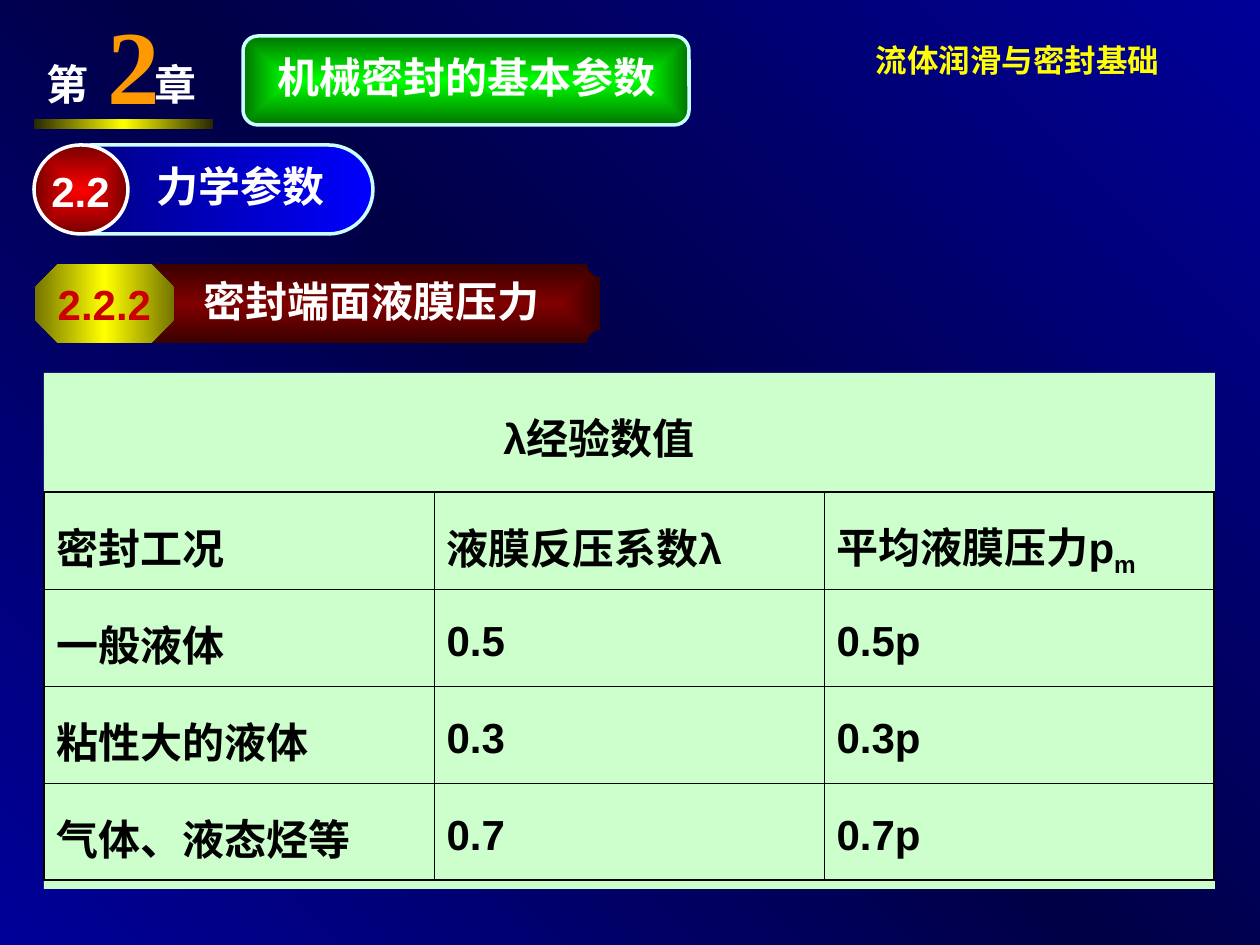
from lxml.etree import SubElement
from pptx import Presentation
from pptx.dml.color import RGBColor
from pptx.enum.shapes import MSO_SHAPE
from pptx.enum.text import MSO_ANCHOR, MSO_AUTO_SIZE, PP_ALIGN
from pptx.oxml.ns import qn
from pptx.util import Emu, Pt

SCALE = 914400 / 126  # EMU in one px
HAN_FONT = "Noto Sans CJK SC"

WHITE = RGBColor(0xFF, 0xFF, 0xFF)
BLACK = RGBColor(0x00, 0x00, 0x00)
NAVY = RGBColor(0x00, 0x00, 0x99)
MIDNIGHT = RGBColor(0x00, 0x00, 0x46)
BLUE = RGBColor(0x00, 0x00, 0xFF)
DARK_BLUE = RGBColor(0x00, 0x00, 0x75)
ICE = RGBColor(0xCC, 0xFF, 0xFF)
YELLOW = RGBColor(0xFF, 0xFF, 0x00)
OLIVE = RGBColor(0x75, 0x75, 0x00)
DARK_OLIVE = RGBColor(0x28, 0x28, 0x00)
ORANGE = RGBColor(0xFF, 0x99, 0x00)
RED = RGBColor(0xFF, 0x00, 0x00)
DARK_RED = RGBColor(0x75, 0x00, 0x00)
NUMBER_RED = RGBColor(0xCC, 0x00, 0x00)
MAROON = RGBColor(0x80, 0x00, 0x00)
DARK_MAROON = RGBColor(0x3B, 0x00, 0x00)
GREEN = RGBColor(0x00, 0xFF, 0x00)
DARK_GREEN = RGBColor(0x00, 0x75, 0x00)
MINT = RGBColor(0xCC, 0xFF, 0xCC)


def px(value):
    return Emu(round(value * SCALE))


def write(frame, text, size=24, font="Arial", color=WHITE, align=PP_ALIGN.LEFT,
          spacing=None, subscript=""):
    """Write one bold paragraph, with an optional subscript after it."""
    paragraph = frame.paragraphs[0]
    paragraph.alignment = align
    paragraph.line_spacing = spacing
    for part in filter(None, (text, subscript)):
        run = paragraph.add_run()
        run.text = part
        run.font.size = Pt(size)
        run.font.bold = True
        run.font.name = font
        run.font.color.rgb = color
        properties = run.font._element
        SubElement(properties, qn("a:ea"), typeface=HAN_FONT)
        if part == subscript:
            properties.set("baseline", "-25000")


def set_gradient(owner, fill, colors, angle=None):
    """Spread colours evenly, clockwise by angle or out from the centre."""
    fill.gradient()
    gradient = owner.element.find(".//" + qn("a:gradFill"))
    for child in list(gradient):
        gradient.remove(child)
    stops = SubElement(gradient, qn("a:gsLst"))
    for index, color in enumerate(colors):
        position = 100000 * index // (len(colors) - 1)
        stop = SubElement(stops, qn("a:gs"), pos=str(position))
        SubElement(stop, qn("a:srgbClr"), val=str(color))
    if angle is None:
        path = SubElement(gradient, qn("a:path"), path="rect")
        SubElement(path, qn("a:fillToRect"), l="50000", t="50000", r="50000", b="50000")
    else:
        SubElement(gradient, qn("a:lin"), ang=str(angle * 60000), scaled="1")


def set_border(cell, side, width):
    line = SubElement(cell._tc.get_or_add_tcPr(), qn("a:" + side), w=str(Pt(width)))
    fill = SubElement(line, qn("a:solidFill"))
    SubElement(fill, qn("a:srgbClr"), val=str(BLACK))


class SlideBuilder:
    def __init__(self, slide):
        self.slide = slide
        self.outline_width = Pt(2)
        self.outer_border, self.inner_border = 1.08, 0.45

    def background(self, colors, angle):
        set_gradient(self.slide, self.slide.background.fill, colors, angle)

    def shape(self, kind, box, colors, angle=None, outline=None, adjust=None):
        shape = self.slide.shapes.add_shape(kind, *map(px, box))
        shape.shadow.inherit = False
        if len(colors) == 1:
            shape.fill.solid()
            shape.fill.fore_color.rgb = colors[0]
        else:
            set_gradient(shape, shape.fill, colors, angle)
        if outline is None:
            shape.line.fill.background()
        else:
            shape.line.color.rgb = outline
            shape.line.width = self.outline_width
        if adjust is not None:
            shape.adjustments[0] = adjust
        frame = shape.text_frame
        frame.word_wrap = False
        frame.vertical_anchor = MSO_ANCHOR.MIDDLE
        return shape

    def text(self, box, text, anchor=MSO_ANCHOR.TOP, inset=6, **style):
        frame = self.slide.shapes.add_textbox(*map(px, box)).text_frame
        frame.word_wrap = True
        frame.vertical_anchor = anchor
        frame.margin_top = frame.margin_bottom = px(inset)
        write(frame, text, **style)

    def title(self, box, text, **style):
        title = self.slide.shapes.title
        title.left, title.top, title.width, title.height = map(px, box)
        frame = title.text_frame
        frame.auto_size = MSO_AUTO_SIZE.NONE
        frame.vertical_anchor = MSO_ANCHOR.TOP
        write(frame, text, **style)
        # Bring the title in front of its panel
        title.element.getparent().append(title.element)

    def table(self, left, top, column_width, row_height, rows):
        row_count, column_count = len(rows), len(rows[0])
        table = self.slide.shapes.add_table(
            row_count, column_count, px(left), px(top),
            px(column_width * column_count), px(row_height * row_count)).table
        table.first_row = table.horz_banding = False
        for column in table.columns:
            column.width = px(column_width)
        for r, row in enumerate(rows):
            table.rows[r].height = px(row_height)
            for c, (text, subscript) in enumerate(row):
                cell = table.cell(r, c)
                cell.vertical_anchor = MSO_ANCHOR.MIDDLE
                write(cell.text_frame, text, color=BLACK, spacing=1.2, subscript=subscript)
                outer_sides = {"lnL": c == 0, "lnR": c == column_count - 1,
                               "lnT": r == 0, "lnB": r == row_count - 1}
                for side, outer in outer_sides.items():
                    set_border(cell, side, self.outer_border if outer else self.inner_border)
                cell.fill.background()


def main():
    presentation = Presentation()
    presentation.slide_width, presentation.slide_height = px(1260), px(945)
    slide = presentation.slides.add_slide(presentation.slide_layouts[5])
    builder = SlideBuilder(slide)
    builder.background((NAVY, MIDNIGHT, NAVY), 135)

    # Course name
    builder.text((819, 35, 397, 89), "流体润滑与密封基础", size=18, font=HAN_FONT,
                 color=YELLOW, align=PP_ALIGN.CENTER)

    # Chapter number
    for left, character in ((34, "第"), (142, "章")):
        builder.text((left, 53, 80, 63), character, font="Times New Roman")
    builder.text((95, 0, 116, 126), "2", inset=0, size=60, font="Times New Roman",
                 color=ORANGE)
    builder.shape(MSO_SHAPE.RECTANGLE, (34, 119, 179, 10),
                  (DARK_OLIVE, YELLOW, DARK_OLIVE), angle=180)

    # Section
    builder.shape(MSO_SHAPE.ROUNDED_RECTANGLE, (47, 145, 326, 89), (BLUE, DARK_BLUE),
                  angle=180, outline=ICE, adjust=0.5)
    builder.shape(MSO_SHAPE.OVAL, (34, 145, 94, 89), (RED, DARK_RED), outline=WHITE)
    builder.text((39, 160, 90, 63), "2.2")
    builder.text((144, 155, 199, 63), "力学参数")

    # Subsection
    plaque = builder.shape(MSO_SHAPE.PLAQUE, (134, 264, 466, 79), (MAROON, DARK_MAROON))
    plaque.text_frame.margin_left = px(22)
    write(plaque.text_frame, "密封端面液膜压力", align=PP_ALIGN.CENTER, spacing=0.9)
    badge = builder.shape(MSO_SHAPE.OCTAGON, (35, 264, 139, 79), (OLIVE, YELLOW, OLIVE),
                          angle=180, adjust=0.29)
    write(badge.text_frame, "2.2.2", color=NUMBER_RED, align=PP_ALIGN.CENTER)

    # Chapter title
    builder.shape(MSO_SHAPE.ROUNDED_RECTANGLE, (243, 36, 446, 89), (GREEN, DARK_GREEN),
                  outline=ICE)
    builder.title((253, 45, 427, 63), "机械密封的基本参数", align=PP_ALIGN.CENTER)

    # Table of empirical values
    builder.shape(MSO_SHAPE.RECTANGLE, (44, 373, 1171, 516), (MINT,))
    builder.table(44, 492, 390, 97, (
        (("密封工况", ""), ("液膜反压系数λ", ""), ("平均液膜压力p", "m")),
        (("一般液体", ""), ("0.5", ""), ("0.5p", "")),
        (("粘性大的液体", ""), ("0.3", ""), ("0.3p", "")),
        (("气体、液态烃等", ""), ("0.7", ""), ("0.7p", "")),
    ))
    builder.text((491, 383, 285, 100), "λ经验数值", anchor=MSO_ANCHOR.MIDDLE,
                 color=BLACK, spacing=1.2)

    presentation.save("out.pptx")


if __name__ == "__main__":
    main()
